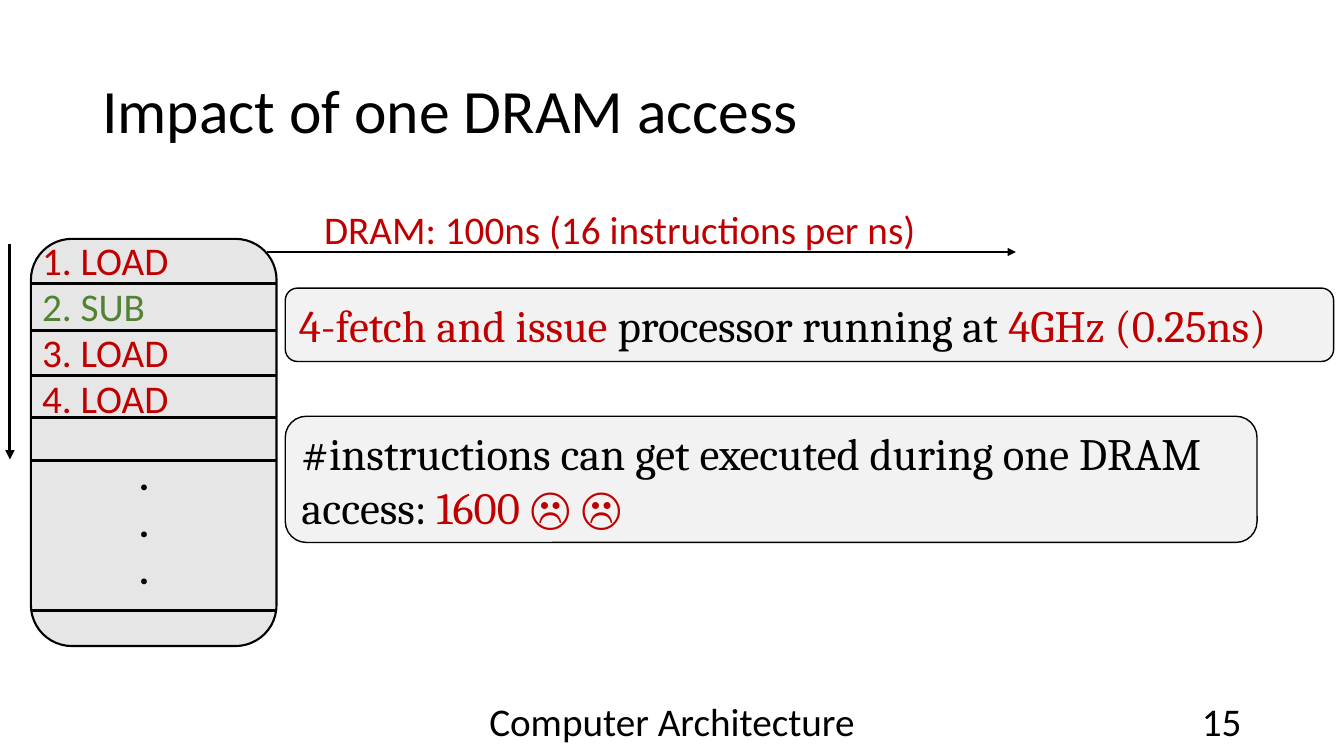
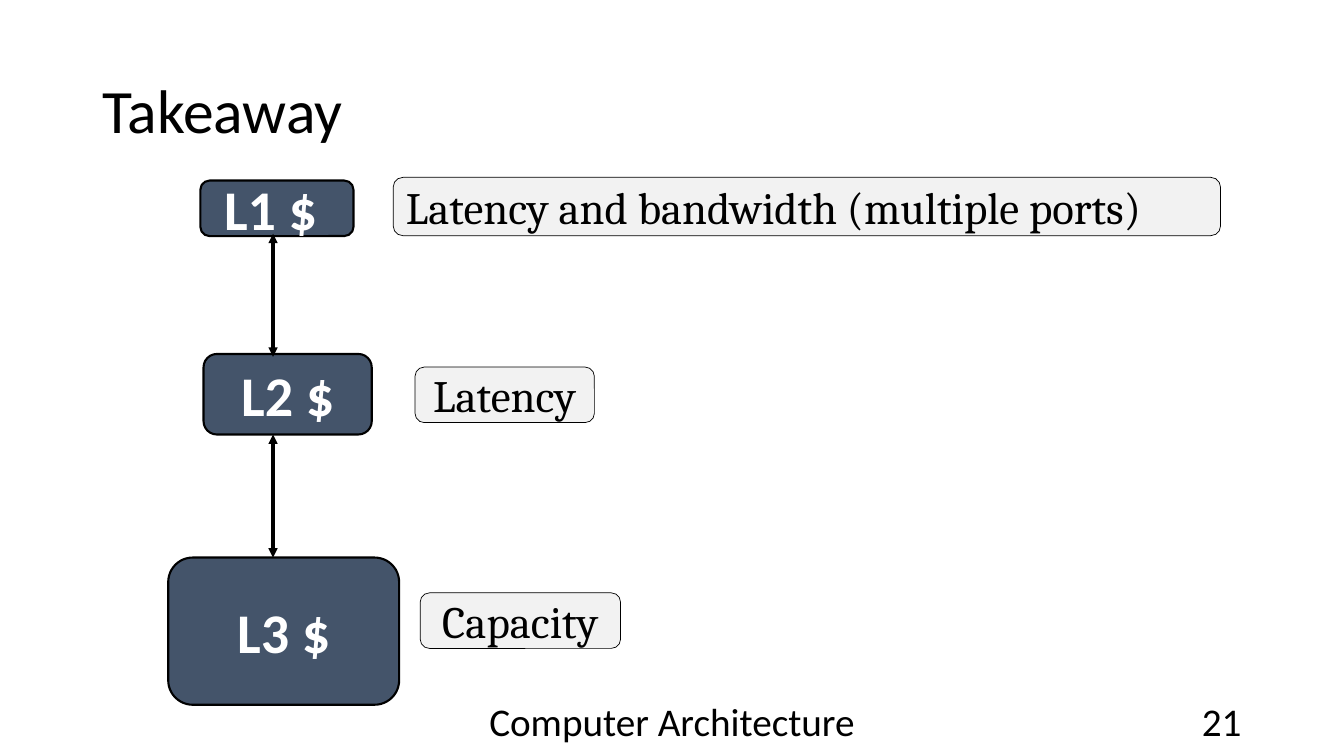
from lxml import etree
from pptx import Presentation
from pptx.dml.color import RGBColor
from pptx.enum import shapes, text
from pptx.oxml import ns
from pptx.util import Cm, Pt

BLACK, WHITE, RED, GREEN = "000000", "FFFFFF", "C00000", "548235"
SLATE, QUEUE_GREY, NOTE_GREY = "44546A", "E7E6E6", "F2F2F2"
LEFT, CENTER, RIGHT = text.PP_ALIGN.LEFT, text.PP_ALIGN.CENTER, text.PP_ALIGN.RIGHT
TOP, MIDDLE = text.MSO_ANCHOR.TOP, text.MSO_ANCHOR.MIDDLE


def add_box(page, place, paragraphs=(), size=28, font="Calibri", bold=False, color=BLACK,
            align=LEFT, anchor=MIDDLE, wrap=True, fill=None, line=1.5):
    """Add a text box, or a rounded rectangle if fill is given.

    Each paragraph is a list of (text, colour) spans or a plain string.
    """
    place = [Cm(length) for length in place]
    if fill:
        box = page.shapes.add_shape(shapes.MSO_SHAPE.ROUNDED_RECTANGLE, *place)
        box.shadow.inherit = False
        box.fill.solid()
        box.fill.fore_color.rgb = RGBColor.from_string(fill)
        box.line.color.rgb = RGBColor.from_string(BLACK)
        box.line.width = Pt(line)
    else:
        box = page.shapes.add_textbox(*place)
    frame = box.text_frame
    frame.word_wrap = wrap
    frame.vertical_anchor = anchor
    for index, spans in enumerate(paragraphs):
        para = frame.add_paragraph() if index else frame.paragraphs[0]
        para.alignment = align
        para.font.size, para.font.name, para.font.bold = Pt(size), font, bold
        for words, span_color in [(spans, color)] if isinstance(spans, str) else spans:
            span = para.add_run()
            span.text = words
            span.font.color.rgb = RGBColor.from_string(span_color)
    return box


def add_line(page, x1, y1, x2, y2, width=2.25, arrowheads=()):
    """Add a line; arrowheads names its ends: headEnd (start), tailEnd (finish)."""
    connector = page.shapes.add_connector(
        shapes.MSO_CONNECTOR.STRAIGHT, Cm(x1), Cm(y1), Cm(x2), Cm(y2))
    connector.line.color.rgb = RGBColor.from_string(BLACK)
    connector.line.width = Pt(width)
    properties = connector.element.spPr
    for end in arrowheads:
        etree.SubElement(properties.find(ns.qn("a:ln")), ns.qn(f"a:{end}"), type="triangle")
    etree.SubElement(properties, ns.qn("a:effectLst"))


deck = Presentation()
deck.slide_width, deck.slide_height = Cm(33.87), Cm(19.05)

pages = []
for title, number in [("Impact of one DRAM access", "15"), ("Takeaway", "21")]:
    page = deck.slides.add_slide(deck.slide_layouts[6])
    title_box = add_box(page, (2.33, 1.01, 29.21, 3.68), [title], size=44)
    title_box.text_frame.paragraphs[0].line_spacing = 0.9
    add_box(page, (11.22, 17.65, 11.43, 1.02), ["Computer Architecture"], align=CENTER)
    add_box(page, (23.92, 17.65, 7.62, 1.02), [number], align=RIGHT)
    pages.append(page)
dram_page, takeaway_page = pages

# Instruction queue and the DRAM access
queue_left, queue_width = 0.78, 6.19
add_box(dram_page, (queue_left, 6.02, queue_width, 10.26), fill=QUEUE_GREY)
for y in (7.14, 8.33, 9.47, 10.52, 11.61, 15.39):
    add_line(dram_page, queue_left, y, queue_left + queue_width, y)
instructions = [("1. LOAD", RED), ("2. SUB", GREEN), ("3. LOAD", RED), ("4. LOAD", RED)]
for row, (instruction, color) in enumerate(instructions):
    add_box(dram_page, (0.81, 5.82 + 1.16 * row, 3.73, 1.45), [instruction],
            color=color, anchor=TOP, wrap=False)
add_box(dram_page, (3.25, 11.25, 0.79, 3.84), [".", ".", "."], bold=True, anchor=TOP, wrap=False)
add_line(dram_page, 0.25, 6.15, 0.25, 11.58, arrowheads=["tailEnd"])
add_line(dram_page, 6.73, 6.35, 25.6, 6.35, width=1.5, arrowheads=["tailEnd"])
add_box(dram_page, (7.92, 5.05, 15.62, 2.24), ["DRAM: 100ns (16 instructions per ns)"],
        color=RED, anchor=TOP, wrap=False)

for place, spans in [
    ((7.19, 7.26, 26.42, 1.85),
     [("4-fetch and issue", RED), (" processor running at ", BLACK), ("4GHz (0.25ns)", RED)]),
    ((7.19, 10.49, 24.49, 3.18),
     [("#instructions can get executed during one DRAM access: ", BLACK), ("1600 ☹ ☹", RED)]),
]:
    add_box(dram_page, place, [spans], size=32, font="Cambria", fill=NOTE_GREY, line=1)

# Cache levels and what matters at each
for cache, cache_place, goal, goal_place, goal_align in [
    ("L1 $ ", (5.05, 4.55, 3.86, 1.4),
     "Latency and bandwidth (multiple ports)", (9.91, 4.47, 20.85, 1.47), LEFT),
    ("L2 $", (5.13, 8.92, 4.24, 2.03), "Latency", (10.46, 9.25, 4.52, 1.4), CENTER),
    ("L3 $", (4.24, 14.05, 5.82, 3.71), "Capacity", (10.59, 14.94, 5.05, 1.4), CENTER),
]:
    add_box(takeaway_page, cache_place, [cache], size=40, bold=True, color=WHITE,
            align=CENTER, fill=SLATE)
    add_box(takeaway_page, goal_place, [goal], size=32, font="Cambria", align=goal_align,
            fill=NOTE_GREY, line=0.5)
for top in (5.89, 10.95):
    add_line(takeaway_page, 6.88, top, 6.88, top + 3.1, arrowheads=["headEnd", "tailEnd"])

deck.save("out.pptx")
